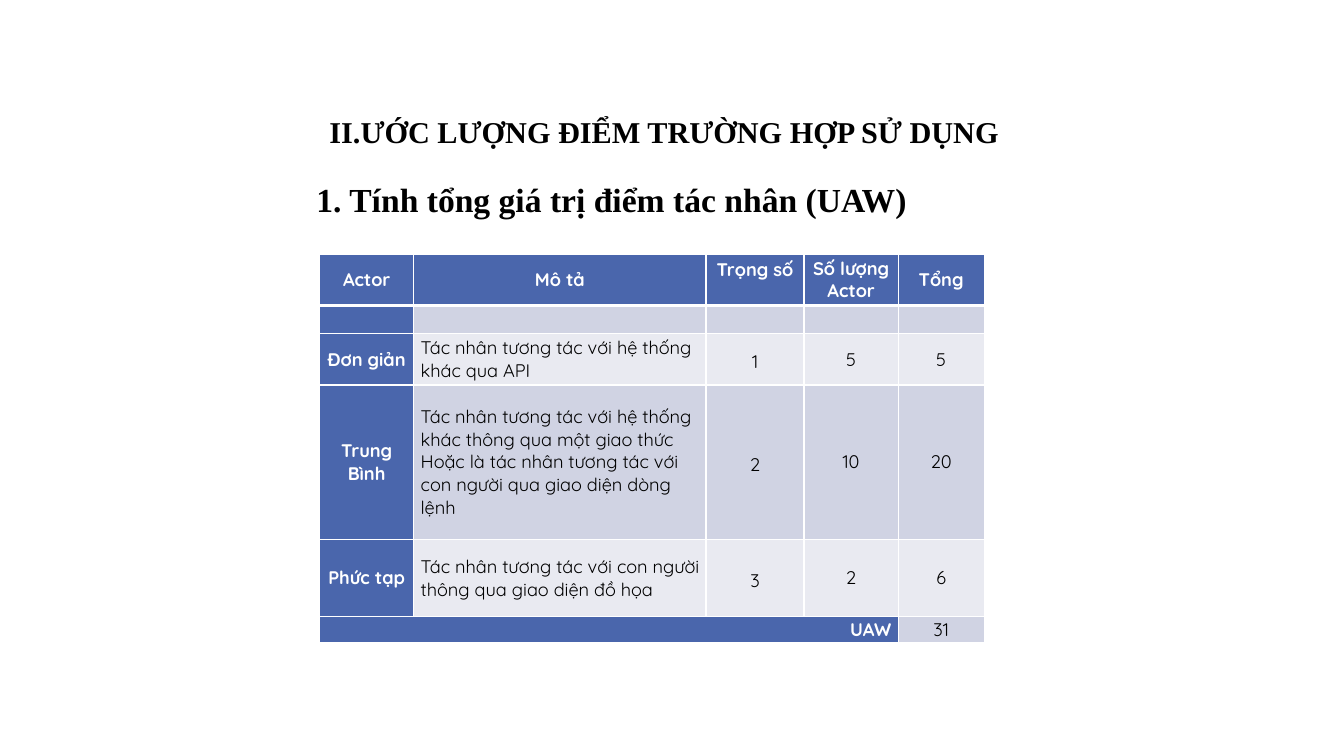
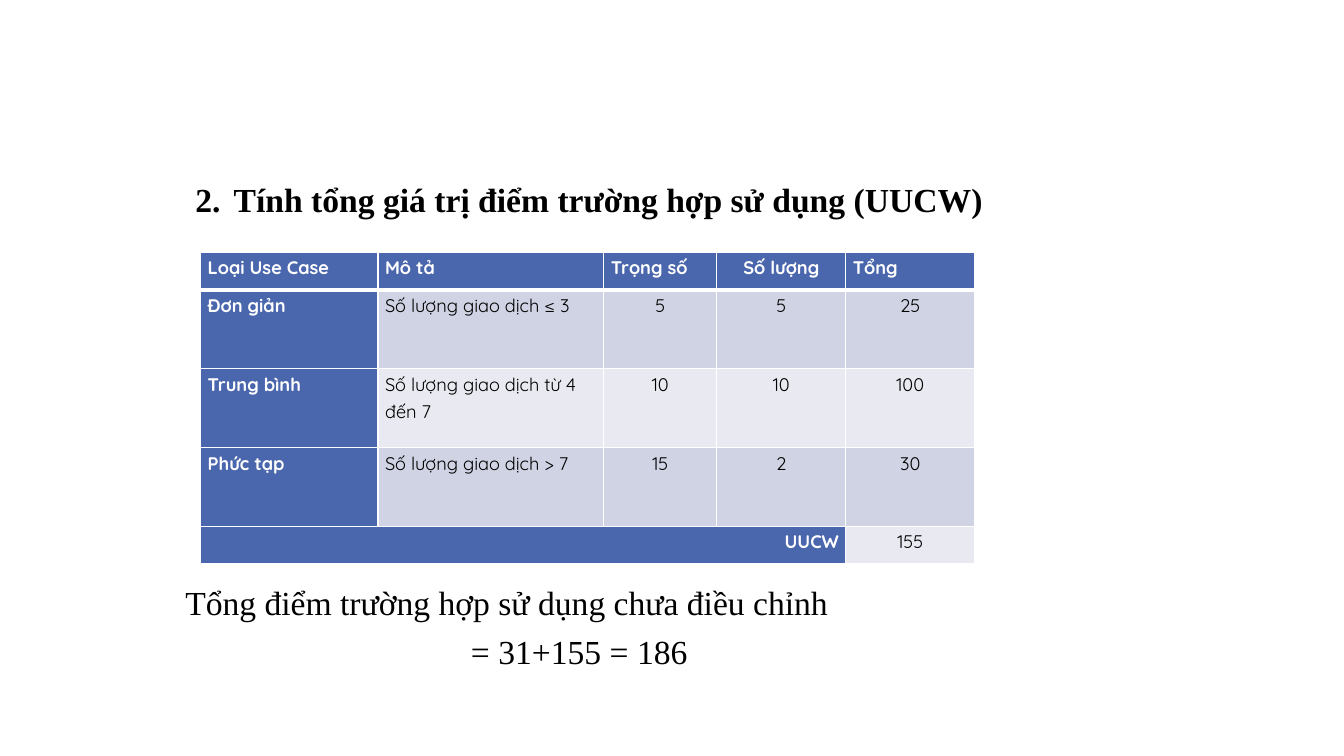
from lxml import etree
from pptx import Presentation
from pptx.dml.color import RGBColor
from pptx.enum.text import MSO_ANCHOR, PP_ALIGN
from pptx.oxml.ns import qn
from pptx.util import Inches, Pt

LEFT, CENTER, RIGHT = PP_ALIGN.LEFT, PP_ALIGN.CENTER, PP_ALIGN.RIGHT
JUSTIFY = PP_ALIGN.JUSTIFY
TOP, MIDDLE = MSO_ANCHOR.TOP, MSO_ANCHOR.MIDDLE

SLIDE_W, SLIDE_H = Inches(13.33), Inches(7.5)
SERIF, SANS = "Times New Roman", "Quicksand"
BLACK, WHITE, BLUE = "000000", "FFFFFF", "4A66AC"
BANDS = ("E9EAF1", "D0D3E3")
BODY_SIZE, CELL_SIZE = 24, 13


def color(hex_string):
    return RGBColor.from_string(hex_string)


def px(share):
    """Percent of the slide's width."""
    return round(SLIDE_W * share / 100)


def py(share):
    """Percent of the slide's height."""
    return round(SLIDE_H * share / 100)


def add_run(p, text, font, size, hex_string=BLACK, bold=False):
    r = p.add_run()
    r.text = text
    r.font.name = font
    r.font.size = Pt(size)
    r.font.bold = bold
    r.font.color.rgb = color(hex_string)


def add_text(slide, box, text, size=BODY_SIZE, bold=False, align=LEFT,
             anchor=TOP, spacing=1.0, number=None):
    """Add one paragraph in a box of slide percentages, numbered if asked."""
    left, top, width, height = box
    sp = slide.shapes.add_textbox(px(left), py(top), px(width), py(height))
    tf = sp.text_frame
    tf.word_wrap = True
    tf.vertical_anchor = anchor
    p = tf.paragraphs[0]
    p.alignment = align
    p.line_spacing = spacing
    if number:
        pPr = p._p.get_or_add_pPr()
        indent = Inches(0.38)
        pPr.set("marL", str(indent))
        pPr.set("indent", str(-indent))
        etree.SubElement(pPr, qn("a:buAutoNum"), type="arabicPeriod",
                         startAt=str(number))
    add_run(p, text, SERIF, size, bold=bold)


def set_borders(cell, top, bottom):
    """Draw white borders; top and bottom are widths in points."""
    tcPr = cell._tc.get_or_add_tcPr()
    for side, width in (("L", 1), ("R", 1), ("T", top), ("B", bottom)):
        ln = etree.SubElement(tcPr, qn(f"a:ln{side}"), w=str(Pt(width)))
        fill = etree.SubElement(ln, qn("a:solidFill"))
        etree.SubElement(fill, qn("a:srgbClr"), val=WHITE)


def fill_cell(cell, text, band, strong, align, anchor, spacing):
    cell.margin_left = cell.margin_right = Inches(0.07)
    cell.margin_top = cell.margin_bottom = 0
    cell.vertical_anchor = anchor
    cell.fill.solid()
    cell.fill.fore_color.rgb = color(BLUE if strong else band)
    tf = cell.text_frame
    for i, line in enumerate(text.split("\n")):
        p = tf.add_paragraph() if i else tf.paragraphs[0]
        p.alignment = align
        p.line_spacing = spacing
        if line:
            add_run(p, line, SANS, CELL_SIZE, WHITE if strong else BLACK, strong)
        else:
            etree.SubElement(p._p, qn("a:endParaRPr"), sz=str(CELL_SIZE * 100))


def add_score_table(slide, origin, col_shares, row_shares, rows, total,
                    head_aligns, body_aligns, anchor, spacings):
    """Add a banded table whose last row is a merged label and a total."""
    rows = rows + [(total[0], "", "", "", total[1])]
    last = len(rows) - 1
    frame = slide.shapes.add_table(
        len(rows), len(col_shares), px(origin[0]), py(origin[1]),
        px(sum(col_shares)), py(sum(row_shares)))
    table = frame.table
    for column, share in zip(table.columns, col_shares):
        column.width = px(share)
    for row, share in zip(table.rows, row_shares):
        row.height = py(share)
    for i, texts in enumerate(rows):
        for j, text in enumerate(texts):
            cell = table.cell(i, j)
            align = (head_aligns if i == 0 else body_aligns)[j]
            if i == last and j == 0:
                align = RIGHT
            strong = i == 0 or j == 0 or (i == last and j < len(texts) - 1)
            set_borders(cell, 3 if i == 1 else 1, 3 if i == 0 else 1)
            fill_cell(cell, text, BANDS[i % 2], strong, align, anchor, spacings[j])
    table.cell(last, 0).merge(table.cell(last, len(col_shares) - 2))
    return table


def actor_slide(slide):
    add_text(slide, (23.78, 14.93, 70.67, 13.87),
             "II.ƯỚC LƯỢNG ĐIỂM TRƯỜNG HỢP SỬ DỤNG",
             size=21.6, bold=True, spacing=0.9)
    rows = [
        ("Actor", "Mô tả", "Trọng số", "Số lượng Actor", "Tổng"),
        ("", "", "", "", ""),
        ("Đơn giản", "Tác nhân tương tác với hệ thống khác qua API",
         "1", "5", "5"),
        ("Trung Bình",
         "Tác nhân tương tác với hệ thống khác thông qua một giao thức\n"
         "Hoặc là tác nhân tương tác với con người qua giao diện dòng lệnh",
         "2", "10", "20"),
        ("Phức tạp",
         "Tác nhân tương tác với con người thông qua giao diện đồ họa",
         "3", "2", "6"),
    ]
    table = add_score_table(
        slide, (23.78, 33.6), (7, 21.75, 7.3, 7, 6.4),
        (6.8, 3.73, 6.8, 20.4, 10.27, 3.47), rows, ("UAW", "31"),
        [CENTER] * 5, [CENTER, LEFT, CENTER, CENTER, CENTER],
        MIDDLE, (1.0, 1.0, 1.2, 1.0, 1.0))
    table.cell(0, 2).vertical_anchor = TOP
    add_text(slide, (22.8, 23.07, 54.39, 12),
             "1. Tính tổng giá trị điểm tác nhân (UAW)", bold=True)


def use_case_slide(slide):
    add_text(slide, (13.8, 20.4, 68.12, 9.47),
             "Tính tổng giá trị điểm trường hợp sử dụng (UUCW)",
             bold=True, align=JUSTIFY, spacing=1.5, number=2)
    rows = [
        ("Loại Use Case", "Mô tả", "Trọng số", "Số lượng", "Tổng"),
        ("Đơn giản", "Số lượng giao dịch ≤ 3", "5", "5", "25"),
        ("Trung bình", "Số lượng giao dịch từ 4 đến 7", "10", "10", "100"),
        ("Phức tạp", "Số lượng giao dịch > 7", "15", "2", "30"),
    ]
    add_score_table(
        slide, (14.93, 33.33), (13.2, 16.8, 8.4, 9.6, 9.6),
        (5.07, 10.4, 10.4, 10.4, 4.93), rows, ("UUCW", "155"),
        [LEFT, LEFT, LEFT, CENTER, LEFT], [LEFT, LEFT, CENTER, CENTER, CENTER],
        TOP, [1.2] * 5)
    add_text(slide, (13.05, 76.27, 67, 12),
             "Tổng điểm trường hợp sử dụng chưa điều chỉnh")
    add_text(slide, (13.05, 82.8, 60.09, 6.67), "= 31+155 = 186",
             align=CENTER, anchor=MIDDLE)


def main():
    prs = Presentation()
    prs.slide_width, prs.slide_height = SLIDE_W, SLIDE_H
    blank = prs.slide_layouts[6]
    for build in (actor_slide, use_case_slide):
        build(prs.slides.add_slide(blank))
    prs.save("out.pptx")


if __name__ == "__main__":
    main()
